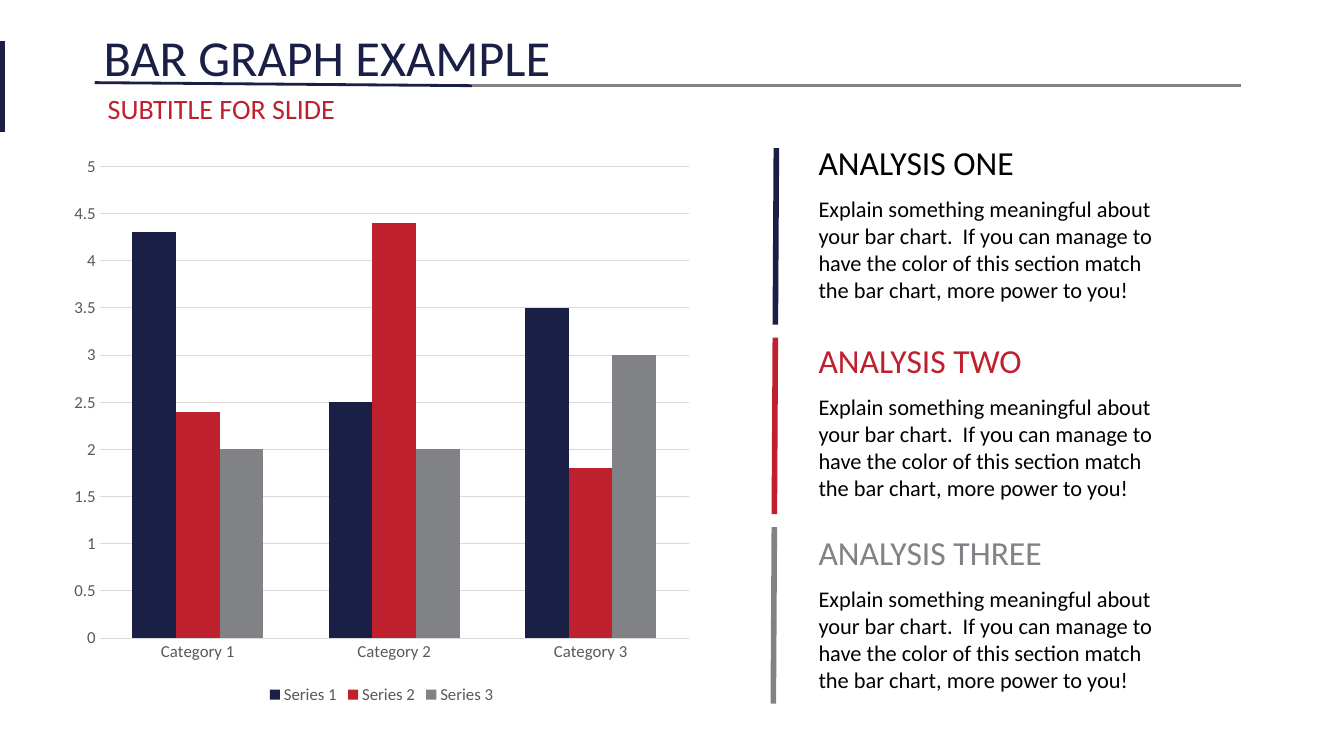
import pptx
import pptx.chart.data
import pptx.dml.color
import pptx.enum.chart
import pptx.enum.shapes
import pptx.enum.text
import pptx.oxml.ns
import pptx.util
from lxml import etree
from pptx.util import Inches

NAVY = pptx.dml.color.RGBColor(0x1A, 0x1F, 0x46)
RED = pptx.dml.color.RGBColor(0xBE, 0x20, 0x2E)
GRAY = pptx.dml.color.RGBColor(0x80, 0x82, 0x85)
BLACK = pptx.dml.color.RGBColor(0x00, 0x00, 0x00)
LABEL_GRAY = pptx.dml.color.RGBColor(0x59, 0x59, 0x59)
GRID_GRAY = pptx.dml.color.RGBColor(0xD9, 0xD9, 0xD9)

FONT = "Calibri"
EXPLANATION = (
    "Explain something meaningful about your bar chart.  If you can manage to "
    "have the color of this section match the bar chart, more power to you!"
)
CATEGORIES = ["Category 1", "Category 2", "Category 3"]
SERIES = [
    ("Series 1", [4.3, 2.5, 3.5], NAVY),
    ("Series 2", [2.4, 4.4, 1.8], RED),
    ("Series 3", [2, 2, 3], GRAY),
]
# Heading, heading colour, bar colour, heading top
ANALYSES = [
    ("ANALYSIS ONE", BLACK, NAVY, 1.36),
    ("ANALYSIS TWO", RED, RED, 3.32),
    ("ANALYSIS THREE", GRAY, GRAY, 5.23),
]


def set_font(font, size, color):
    font.name = FONT
    font.size = pptx.util.Pt(size)
    font.color.rgb = color


def add_line(slide, start, end, color, width):
    line = slide.shapes.add_connector(
        pptx.enum.shapes.MSO_CONNECTOR.STRAIGHT,
        Inches(start[0]), Inches(start[1]), Inches(end[0]), Inches(end[1]),
    )
    line.line.color.rgb = color
    line.line.width = pptx.util.Pt(width)
    etree.SubElement(line._element.spPr, pptx.oxml.ns.qn("a:effectLst"))


def add_text(slide, left, top, width, height, text, size, color):
    box = slide.shapes.add_textbox(
        Inches(left), Inches(top), Inches(width), Inches(height)
    )
    box.text_frame.word_wrap = True
    box.text_frame.auto_size = pptx.enum.text.MSO_AUTO_SIZE.SHAPE_TO_FIT_TEXT
    run = box.text_frame.paragraphs[0].add_run()
    run.text = text
    set_font(run.font, size, color)


def style_axis(axis):
    axis.major_tick_mark = pptx.enum.chart.XL_TICK_MARK.NONE
    axis.minor_tick_mark = pptx.enum.chart.XL_TICK_MARK.NONE
    set_font(axis.tick_labels.font, 12, LABEL_GRAY)


def style_grid_line(line):
    line.color.rgb = GRID_GRAY
    line.width = pptx.util.Pt(0.75)


def add_bar_chart(slide):
    data = pptx.chart.data.CategoryChartData()
    data.categories = CATEGORIES
    for name, values, _ in SERIES:
        data.add_series(name, values)
    chart = slide.shapes.add_chart(
        pptx.enum.chart.XL_CHART_TYPE.COLUMN_CLUSTERED,
        Inches(0.61), Inches(1.44), Inches(6.35), Inches(5.59), data,
    ).chart
    set_font(chart.font, 10, BLACK)
    chart.has_title = False

    plot = chart.plots[0]
    plot.vary_by_categories = False
    plot.gap_width = 150
    plot.overlap = 0
    for series, (_, _, color) in zip(plot.series, SERIES):
        series.format.fill.solid()
        series.format.fill.fore_color.rgb = color

    style_axis(chart.category_axis)
    style_grid_line(chart.category_axis.format.line)
    value_axis = chart.value_axis
    style_axis(value_axis)
    value_axis.minimum_scale = 0
    value_axis.maximum_scale = 5
    value_axis.major_unit = 0.5
    value_axis.format.line.fill.background()
    value_axis.has_major_gridlines = True
    style_grid_line(value_axis.major_gridlines.format.line)

    chart.has_legend = True
    chart.legend.position = pptx.enum.chart.XL_LEGEND_POSITION.BOTTOM
    chart.legend.include_in_layout = False
    set_font(chart.legend.font, 12, LABEL_GRAY)


def add_header(slide):
    add_line(slide, (0.94, 0.82), (4.68, 0.85), NAVY, 2)
    add_text(slide, 0.93, 0.21, 8.84, 0.71, "BAR GRAPH EXAMPLE", 36, NAVY)
    add_line(slide, (0.02, 0.41), (0.02, 1.31), NAVY, 3.75)
    add_line(slide, (4.68, 0.85), (12.31, 0.85), GRAY, 2)
    add_text(slide, 0.97, 0.86, 3.74, 0.44, "SUBTITLE FOR SLIDE", 20, RED)


def add_analyses(slide):
    for index, (heading, heading_color, bar_color, top) in enumerate(ANALYSES):
        bar_left = 7.7 - 0.01 * index
        bar_top = 1.47 + 1.88 * index
        add_line(slide, (bar_left, bar_top), (bar_left - 0.01, bar_top + 1.75),
                 bar_color, 4)
        add_text(slide, 8.02, top, 2.97, 0.5, heading, 24, heading_color)
        add_text(slide, 8.02, top + 0.53, 3.66, 1.18, EXPLANATION, 16, BLACK)


def main():
    presentation = pptx.Presentation()
    presentation.slide_width = Inches(13.33)
    presentation.slide_height = Inches(7.5)
    slide = presentation.slides.add_slide(presentation.slide_layouts[6])
    add_header(slide)
    add_bar_chart(slide)
    add_analyses(slide)
    presentation.save("out.pptx")


if __name__ == "__main__":
    main()
